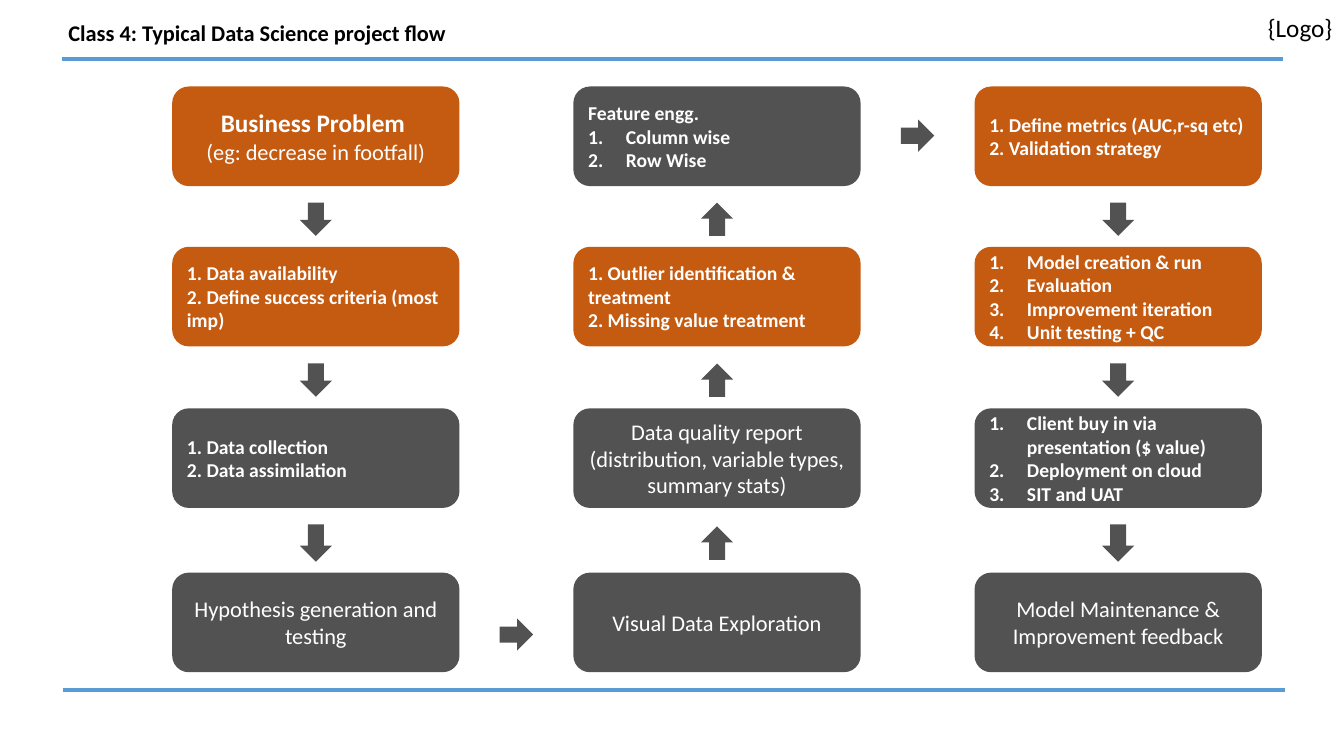
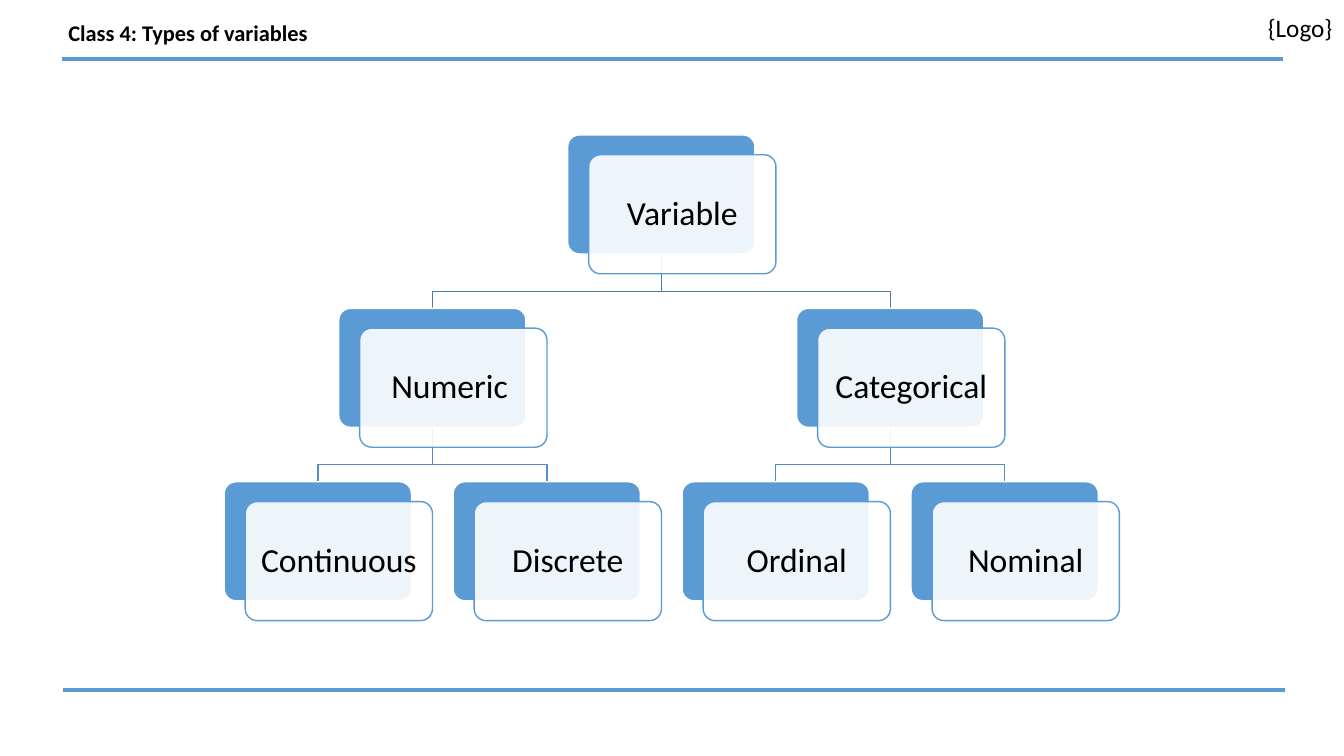
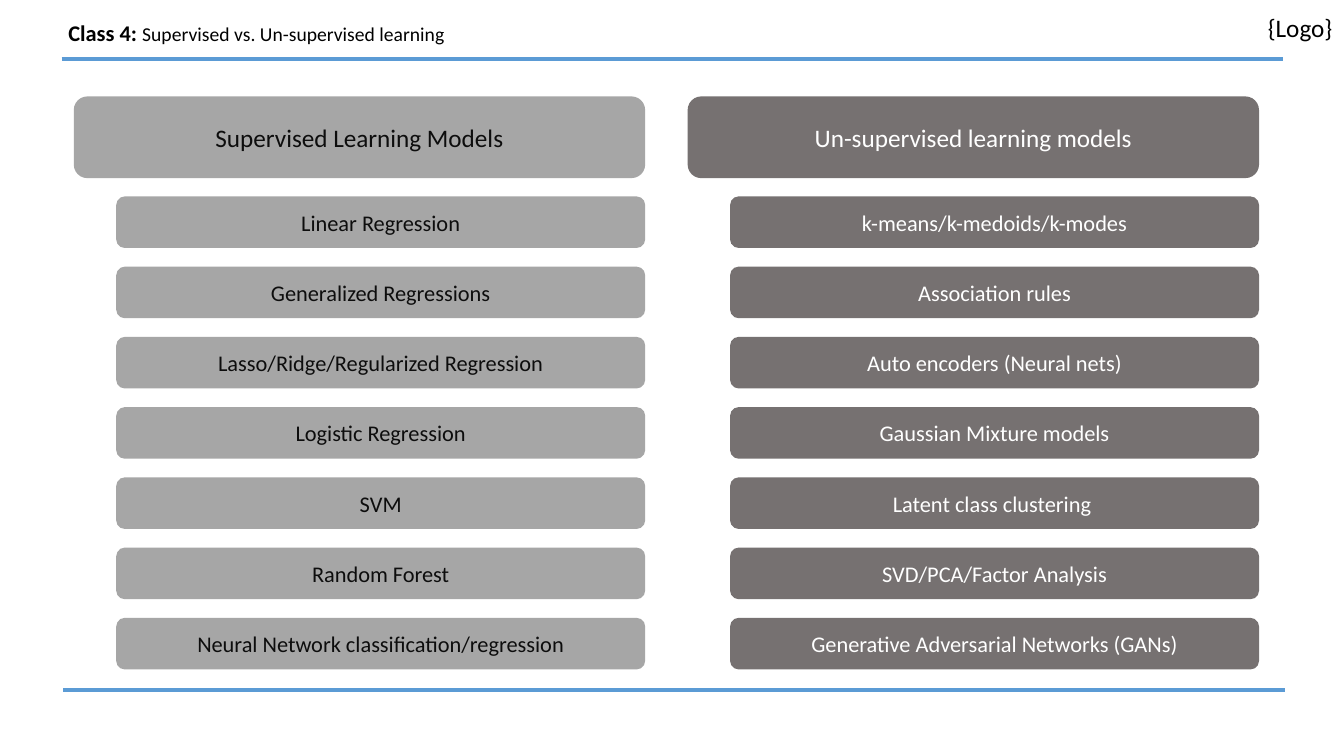
from dataclasses import dataclass

from lxml.etree import SubElement
from pptx import Presentation
from pptx.dml.color import RGBColor
from pptx.enum.shapes import MSO_CONNECTOR, MSO_SHAPE
from pptx.enum.text import MSO_ANCHOR, MSO_AUTO_SIZE, PP_ALIGN
from pptx.oxml.ns import qn
from pptx.util import Cm, Pt


@dataclass(frozen=True)
class Theme:
    font: str = "Calibri"
    black: str = "000000"
    white: str = "FFFFFF"
    near_black: str = "0D0D0D"
    blue: str = "5B9BD5"
    upper_link: str = "497CAB"
    lower_link: str = "538DC1"
    orange: str = "C55A11"
    dark_gray: str = "525252"
    light_gray: str = "A6A6A6"
    warm_gray: str = "767171"
    small: int = 14
    body: int = 16
    large: int = 18
    node: int = 24


THEME = Theme()


@dataclass(frozen=True)
class Line:
    """One paragraph of a box."""
    text: str
    size: int = THEME.body
    bold: bool = False
    centered: bool = True
    numbered: bool = False
    spacing: float = 1.0


def step(text):
    return Line(text, THEME.small, bold=True, centered=False)


def numbered(text):
    return Line(text, THEME.small, bold=True, centered=False, numbered=True)


class Deck:
    def __init__(self, theme):
        self.theme = theme
        self.presentation = Presentation()
        self.presentation.slide_width = Cm(33.87)
        self.presentation.slide_height = Cm(19.05)
        self.layout = self.presentation.slide_layouts.get_by_name("Title Only")
        for placeholder in list(self.layout.placeholders)[1:]:
            self.layout.shapes.element.remove(placeholder.element)
        self.slide = None

    def add_slide(self, *title_runs):
        is_first = self.slide is None
        self.slide = self.presentation.slides.add_slide(self.layout)
        self.title(title_runs)
        if is_first:
            self.furnish_layout()

    def furnish_layout(self):
        """Draw the rules and the logo text once, then move them to the layout."""
        shared = [self.rule(1.55, 1.49), self.rule(1.6, 17.38), self.logo_text()]
        for shape in shared:
            self.layout.shapes.element.append(shape.element)

    def rule(self, left, top, width=30.78):
        rule = self.slide.shapes.add_connector(
            MSO_CONNECTOR.STRAIGHT, Cm(left), Cm(top), Cm(left + width), Cm(top))
        self.outline(rule, self.theme.blue, 3)
        SubElement(rule.element.spPr, qn("a:effectLst"))
        return rule

    def logo_text(self):
        box = self.slide.shapes.add_textbox(Cm(31.7), Cm(0.18), Cm(2.16), Cm(1.02))
        frame = box.text_frame
        frame.word_wrap = False
        frame.auto_size = MSO_AUTO_SIZE.SHAPE_TO_FIT_TEXT
        frame.text = "{Logo}"
        self.font(frame.paragraphs[0], self.theme.black, self.theme.large)
        return box

    def title(self, runs):
        title = self.slide.shapes.title
        title.left, title.top = Cm(1.47), Cm(0.23)
        title.width, title.height = Cm(29.21), Cm(1.27)
        frame = title.text_frame
        frame.auto_size = MSO_AUTO_SIZE.NONE
        frame.vertical_anchor = MSO_ANCHOR.MIDDLE
        paragraph = frame.paragraphs[0]
        paragraph.alignment = PP_ALIGN.LEFT
        paragraph.line_spacing = 0.9
        self.font(paragraph, self.theme.black, self.theme.body, bold=True)
        for text, size, bold in runs:
            run = paragraph.add_run()
            run.text = text
            run.font.size, run.font.bold = Pt(size), bold

    def font(self, paragraph, color, size, bold=False):
        font = paragraph.font
        font.name, font.size, font.bold = self.theme.font, Pt(size), bold
        font.color.rgb = RGBColor.from_string(color)

    def outline(self, shape, color, width=1):
        shape.line.color.rgb = RGBColor.from_string(color)
        shape.line.width = Pt(width)

    def shape(self, kind, left, top, width, height, fill):
        shape = self.slide.shapes.add_shape(
            kind, Cm(left), Cm(top), Cm(width), Cm(height))
        shape.shadow.inherit = False
        shape.fill.solid()
        shape.fill.fore_color.rgb = RGBColor.from_string(fill)
        shape.line.fill.background()
        return shape

    def box(self, left, top, width, height, fill, lines=(), color=THEME.white):
        box = self.shape(MSO_SHAPE.ROUNDED_RECTANGLE, left, top, width, height, fill)
        frame = box.text_frame
        frame.word_wrap = True
        frame.vertical_anchor = MSO_ANCHOR.MIDDLE
        for index, line in enumerate(lines):
            paragraph = frame.add_paragraph() if index else frame.paragraphs[0]
            paragraph.text = line.text
            paragraph.alignment = PP_ALIGN.CENTER if line.centered else PP_ALIGN.LEFT
            paragraph.line_spacing = line.spacing
            self.font(paragraph, color, line.size, line.bold)
            if line.numbered:
                self.number(paragraph)
        return box

    def number(self, paragraph):
        properties = paragraph.font._element.getparent()
        properties.set("marL", str(Cm(0.95)))
        properties.set("indent", str(-Cm(0.95)))
        numbering = properties.makeelement(qn("a:buAutoNum"), {"type": "arabicPeriod"})
        properties.find(qn("a:defRPr")).addprevious(numbering)

    def arrow(self, center_x, center_y, rotation=0, length=0.84, width=0.81):
        arrow = self.shape(MSO_SHAPE.DOWN_ARROW, center_x - width / 2,
                           center_y - length / 2, width, length, self.theme.dark_gray)
        arrow.rotation = rotation

    def card(self, left, top, width, height, text):
        """A blue card with a see-through labelled card in front."""
        back = self.box(left, top, width, height, self.theme.blue)
        self.outline(back, self.theme.white)
        label = Line(text, self.theme.node, spacing=0.9)
        front = self.box(left + 0.53, top + 0.5, width, height, self.theme.white,
                         [label], self.theme.black)
        self.outline(front, self.theme.blue)
        color = front.element.spPr.find(qn("a:solidFill")).find(qn("a:srgbClr"))
        SubElement(color, qn("a:alpha"), val="90000")
        frame = front.text_frame
        frame.margin_left = frame.margin_right = Cm(0.1)
        for card in (back, front):
            card.adjustments[0] = 0.1

    def link(self, start, end, color, drop=0.94):
        (start_x, start_y), (end_x, end_y) = start, end
        bend_y = start_y + drop
        builder = self.slide.shapes.build_freeform(Cm(start_x), Cm(start_y))
        builder.add_line_segments(
            [(Cm(x), Cm(y)) for x, y in
             ((start_x, bend_y), (end_x, bend_y), (end_x, end_y))], close=False)
        link = builder.convert_to_shape()
        link.shadow.inherit = False
        link.fill.background()
        self.outline(link, color)


def project_flow(deck):
    theme = deck.theme
    deck.add_slide(("Class 4: Typical Data Science project flow", theme.body, True))
    orange, gray = theme.orange, theme.dark_gray
    columns = [
        [(orange, [Line("Business Problem ", theme.large, bold=True),
                   Line("(eg: decrease in footfall)")]),
         (orange, [step("1. Data availability"),
                   step("2. Define success criteria (most imp)")]),
         (gray, [step("1. Data collection"), step("2. Data assimilation")]),
         (gray, [Line("Hypothesis generation and testing")])],
        [(gray, [step("Feature engg."), numbered("Column wise"), numbered("Row Wise")]),
         (orange, [step("1. Outlier identification & treatment"),
                   step("2. Missing value treatment")]),
         (gray, [Line("Data quality report"),
                 Line("(distribution, variable types, summary stats)")]),
         (gray, [Line("Visual Data Exploration")])],
        [(orange, [step("1. Define metrics (AUC,r-sq etc)"),
                   step("2. Validation strategy")]),
         (orange, [numbered("Model creation & run"), numbered("Evaluation"),
                   numbered("Improvement iteration"), numbered("Unit testing + QC")]),
         (gray, [numbered("Client buy in via presentation ($ value)"),
                 numbered("Deployment on cloud"), numbered("SIT and UAT")]),
         (gray, [Line("Model Maintenance & Improvement feedback")])],
    ]
    first_left, pitch, width, height = 4.34, 10.11, 7.24, 2.51
    tops = [2.18, 6.22, 10.29, 14.43]

    # Boxes, and the arrows between the rows
    for column, boxes in enumerate(columns):
        left = first_left + column * pitch
        for top, (fill, lines) in zip(tops, boxes):
            deck.box(left, top, width, height, fill, lines)
        upward = column == 1
        for row, (upper, lower) in enumerate(zip(tops, tops[1:])):
            length = 0.94 if row == 2 and not upward else 0.84
            deck.arrow(left + width / 2, (upper + height + lower) / 2 + 0.07,
                       180 if upward else 0, length)

    # Arrows between the columns
    for column, center_y in enumerate((15.99, 3.42)):
        center_x = first_left + column * pitch + (pitch + width) / 2
        deck.arrow(center_x, center_y, 270)


def variable_types(deck):
    theme = deck.theme
    deck.add_slide(("Class 4: Types of variables", theme.body, True))
    levels = [["Variable"], ["Numeric ", "Categorical"],
              ["Continuous", "Discrete", "Ordinal", "Nominal"]]
    width, height = 4.72, 3.0
    leaves = len(levels[-1])

    def corner(level, index):
        span = leaves / len(levels[level])
        return 5.65 + 5.77 * ((index + 0.5) * span - 0.5), 3.4 + 4.37 * level

    # Links go behind the cards
    for level, color in ((2, theme.lower_link), (1, theme.upper_link)):
        for index in range(len(levels[level])):
            parent_left, parent_top = corner(level - 1, index // 2)
            left, top = corner(level, index)
            deck.link((parent_left + width / 2, parent_top + height),
                      (left + width / 2, top), color)

    for level, names in enumerate(levels):
        for index, name in enumerate(names):
            deck.card(*corner(level, index), width, height, name)


def learning_models(deck):
    theme = deck.theme
    deck.add_slide(("Class 4: ", theme.body, True),
                   ("Supervised vs. Un-supervised learning", theme.small, False))
    groups = [
        (theme.light_gray, theme.near_black, "Supervised Learning Models",
         ["Linear Regression", "Generalized Regressions",
          "Lasso/Ridge/Regularized Regression", "Logistic Regression", "SVM",
          "Random Forest", "Neural Network classification/regression"]),
        (theme.warm_gray, theme.white, "Un-supervised learning models",
         ["k-means/k-medoids/k-modes", "Association rules",
          "Auto encoders (Neural nets)", "Gaussian Mixture models",
          "Latent class clustering ", "SVD/PCA/Factor Analysis",
          "Generative Adversarial Networks (GANs)"]),
    ]
    width, indent = 14.4, 1.07
    for column, (fill, color, heading, models) in enumerate(groups):
        left = 1.86 + 15.47 * column
        deck.box(left, 2.43, width, 2.06, fill, [Line(heading, theme.large)], color)
        for row, model in enumerate(models):
            deck.box(left + indent, 4.95 + 1.77 * row, width - indent, 1.3,
                     fill, [Line(model)], color)


def main():
    deck = Deck(THEME)
    project_flow(deck)
    variable_types(deck)
    learning_models(deck)
    deck.presentation.save("out.pptx")


if __name__ == "__main__":
    main()
